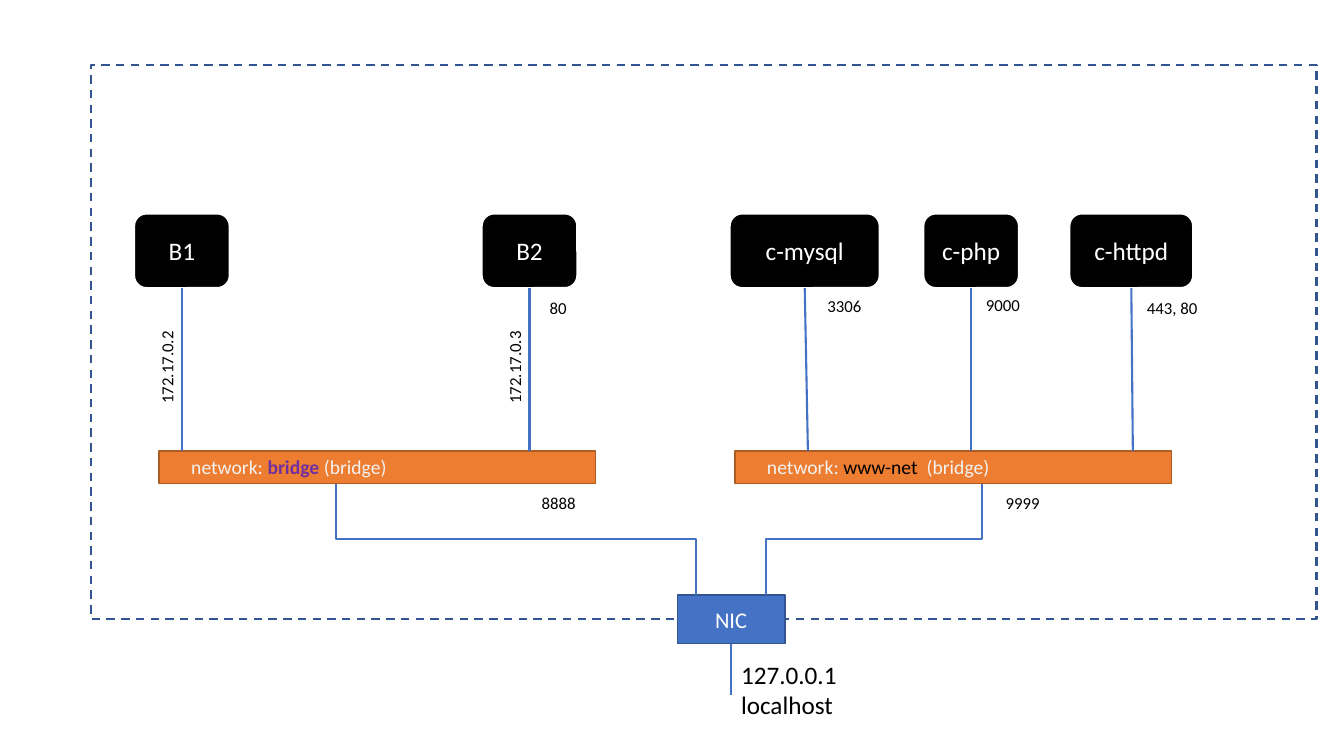
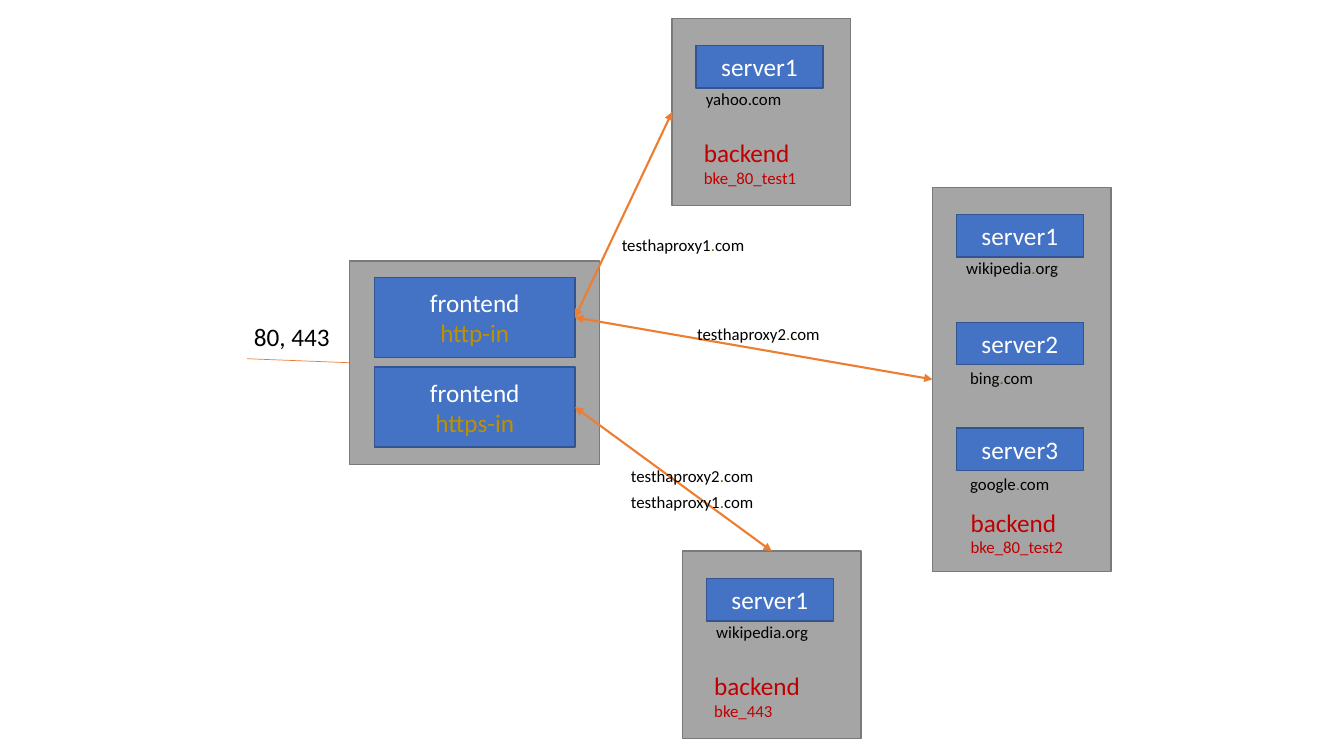
from lxml import etree
from pptx import Presentation
from pptx.dml import color
from pptx.enum import dml, shapes as kinds, text as texts
from pptx.oxml import ns
from pptx.util import Cm, Pt

FONT = "Calibri"
BLUE, NAVY, ORANGE, RUST = "4472C4", "325491", "ED7D31", "AF5C24"
GREY, DARK_GREY, BLACK, WHITE = "A5A5A5", "7A7A7A", "000000", "FFFFFF"
RED, GOLD, OLIVE, PURPLE, PALE = "C00000", "BF9000", "666600", "7030A0", "F2F2F2"
LABEL_WIDTH, LABEL_HEIGHT = 4.14, 0.76
CENTER, LEFT = texts.PP_ALIGN.CENTER, texts.PP_ALIGN.LEFT


def rgb(value):
    """Turn a hex string into a colour."""
    return color.RGBColor.from_string(value)


def apply(target, values):
    """Set every attribute named in a dict."""
    for name, value in values.items():
        setattr(target, name, value)


def write(shape, paragraphs, align, anchor):
    """Fill a shape with paragraphs of (text, size, colour, bold) runs."""
    frame = shape.text_frame
    apply(frame, {"word_wrap": True, "vertical_anchor": anchor})
    for index, runs in enumerate(paragraphs):
        paragraph = frame.paragraphs[0] if index == 0 else frame.add_paragraph()
        paragraph.alignment = align
        for content, size, ink, *bold in runs:
            run = paragraph.add_run()
            run.text = content
            apply(run.font, {"name": FONT, "size": Pt(size), "bold": bool(bold)})
            run.font.color.rgb = rgb(ink)


def add_box(shapes, box, fill, line, weight=1, paragraphs=(), rounded=False):
    """Draw a filled or hollow box with centred text."""
    preset = kinds.MSO_SHAPE.ROUNDED_RECTANGLE if rounded else kinds.MSO_SHAPE.RECTANGLE
    shape = shapes.add_shape(preset, *map(Cm, box))
    shape.shadow.inherit = False
    if fill:
        shape.fill.solid()
        shape.fill.fore_color.rgb = rgb(fill)
    else:
        shape.fill.background()
    shape.line.color.rgb = rgb(line)
    shape.line.width = Pt(weight)
    write(shape, paragraphs, CENTER, texts.MSO_ANCHOR.MIDDLE)
    return shape


def add_text(shapes, box, paragraphs, align=LEFT, rotation=0):
    """Place a text box."""
    shape = shapes.add_textbox(*map(Cm, box))
    shape.rotation = rotation
    write(shape, paragraphs, align, texts.MSO_ANCHOR.TOP)


def add_label(shapes, center, top, content, rotation=0):
    """Place a small centred label around a vertical axis."""
    box = (center - LABEL_WIDTH / 2, top, LABEL_WIDTH, LABEL_HEIGHT)
    add_text(shapes, box, [[(content, 12, BLACK)]], CENTER, rotation)


def add_line(shapes, start, end, ink=BLUE, weight=1.5, arrows=False,
             kind=kinds.MSO_CONNECTOR.STRAIGHT):
    """Draw a connector, with arrowheads at both ends if asked."""
    connector = shapes.add_connector(kind, *map(Cm, (*start, *end)))
    connector.line.color.rgb = rgb(ink)
    connector.line.width = Pt(weight)
    if arrows:
        outline = connector.line._get_or_add_ln()
        for tag in ("a:headEnd", "a:tailEnd"):
            etree.SubElement(outline, ns.qn(tag), type="triangle")
    properties = connector._element.spPr
    etree.SubElement(properties, ns.qn("a:effectLst"))
    return connector


def add_drop(shapes, start, end):
    """Draw an elbow that leaves and arrives vertically."""
    across, down = end[0] - start[0], end[1] - start[1]
    middle_x, middle_y = start[0] + across / 2, start[1] + down / 2
    half_width, half_height = down / 2, abs(across) / 2
    side = 1 if across > 0 else -1
    connector = add_line(
        shapes,
        (middle_x + side * half_width, middle_y - half_height),
        (middle_x - side * half_width, middle_y + half_height),
        kind=kinds.MSO_CONNECTOR.ELBOW)
    degrees = 270 if across > 0 else 90
    connector._element.spPr.find(ns.qn("a:xfrm")).set("rot", str(degrees * 60000))


def draw_container(shapes, left, bar_top, name, width, address, port, port_at, slant):
    """Draw a container, its wire to the network bar and its labels."""
    top, height = bar_top - 5.99, 1.88
    center = left + width / 2
    add_box(shapes, (left, top, width, height), BLACK, WHITE, 1.5,
            [[(name, 18, WHITE)]], rounded=True)
    add_line(shapes, (center, top + height), (center + slant, bar_top))
    if address:
        add_label(shapes, center - 0.38, bar_top - 2.49, address, 270)
    if port:
        add_label(shapes, center + port_at[0], top + height + port_at[1], port)


def draw_network(shapes, left, top, name, containers, port, port_x, drop_x, nic_point):
    """Draw a network bar with its containers and its path to the card."""
    width, height = 11, 0.82
    add_box(shapes, (left, top, width, height), ORANGE, RUST)
    runs = [("network: ", 14, PALE), name, ("(bridge)", 14, PALE)]
    add_text(shapes, (left + 0.56, top - 0.02, 9.5, 0.86), [runs])
    add_drop(shapes, (left + drop_x, top + height), nic_point)
    for offset, *container in containers:
        draw_container(shapes, left + offset, top, *container)
    add_label(shapes, left + port_x, top + 0.91, port)


def build_network_slide(slide):
    """Build the container network diagram."""
    shapes = slide.shapes
    host = add_box(shapes, (2.29, 1.63, 30.89, 13.97), None, NAVY, 1.5)
    host.line.dash_style = dml.MSO_LINE.DASH
    left, top, width, height = nic = (17.07, 14.99, 2.71, 1.23)
    center, bottom = left + width / 2, top + height
    add_box(shapes, nic, BLUE, NAVY, paragraphs=[[("NIC", 16, WHITE)]])
    add_line(shapes, (center, bottom), (center, bottom + 1.29))
    add_text(shapes, (center, bottom + 0.27, 7.24, 1.8),
             [[("127.0.0.1", 18, BLACK)], [("localhost", 18, BLACK)]])
    draw_network(
        shapes, 4.01, 11.37, ("bridge ", 14, PURPLE, True),
        [(-0.63, "B1", 2.41, "172.17.0.2", None, None, 0),
         (8.13, "B2", 2.41, "172.17.0.3", "80", (0.72, 0.13), 0)],
        "8888", 10.07, 4.45, (center - 0.89, top))
    draw_network(
        shapes, 18.52, 11.37, ("www-net  ", 14, BLACK),
        [(-0.13, "c-mysql", 3.78, None, "3306", (1.0, 0.08), 0.08),
         (4.75, "c-php", 2.41, None, "9000", (0.8, 0.03), 0),
         (8.43, "c-httpd", 3.12, None, "443, 80", (1.03, 0.13), 0.04)],
        "9999", 7.25, 6.22, (center + 0.88, top))


def domain(address, dot=OLIVE):
    """Split an address into runs around its coloured dot."""
    host, point, ending = address.partition(".")
    return [(host, 12, BLACK), (point, 12, dot), (ending, 12, BLACK)]


def draw_backend(slide, box, name, servers, label_x=0.55, label_rise=1.85):
    """Draw a backend panel with its servers and its name."""
    shapes = slide.shapes.add_group_shape().shapes
    left, top, width, height = box
    add_box(shapes, box, GREY, DARK_GREY)
    for number, (offset, address, shift) in enumerate(servers, 1):
        server_left, server_top = left + 0.6, top + offset
        add_box(shapes, (server_left, server_top, 3.2, 1.07), BLUE, NAVY,
                paragraphs=[[(f"server{number}", 18, WHITE)]])
        add_text(shapes, (server_left + shift, server_top + 0.97 + shift / 2, 3.2,
                          LABEL_HEIGHT), [address])
    add_text(shapes, (left + label_x, top + height - label_rise, 3.6, 1.55),
             [[("backend", 18, RED)], [(name, 12, RED)]])


def draw_frontend(slide, box, names):
    """Draw the proxy panel and return the right-hand point of each frontend."""
    shapes = slide.shapes.add_group_shape().shapes
    left, top, _, _ = box
    width, height, pitch = 5.05, 2.02, 2.26
    add_box(shapes, box, GREY, DARK_GREY)
    ports = []
    for index, name in enumerate(names):
        x, y = left + 0.63, top + 0.41 + index * pitch
        add_box(shapes, (x, y, width, height), BLUE, NAVY,
                paragraphs=[[("frontend", 18, WHITE)], [(name, 18, GOLD)]])
        ports.append((x + width, y + height / 2))
    return ports


def build_proxy_slide(slide):
    """Build the load balancer diagram."""
    shapes = slide.shapes
    proxy = (8.81, 6.58, 6.3, 5.13)
    first = (16.94, 0.46, 4.5, 4.72)
    second = (23.5, 4.72, 4.5, 9.68)
    secure = (17.2, 13.89, 4.5, 4.72)
    add_line(shapes, (6.22, 9.04), (proxy[0], 9.14), ORANGE, 0.5)
    add_text(shapes, (6.15, 7.98, 2.6, 1.02), [[("80, 443", 18, BLACK)]])
    draw_backend(slide, second, "bke_80_test2",
                 [(0.69, domain("wikipedia.org"), 0),
                  (3.4, domain("bing.com"), 0.1),
                  (6.07, domain("google.com"), 0.1)], 0.71, 1.75)
    http, https = draw_frontend(slide, proxy, ("http-in", "https-in"))
    draw_backend(slide, first, "bke_80_test1", [(0.69, domain("yahoo.com", BLACK), 0)])
    draw_backend(slide, secure, "bke_443", [(0.69, domain("wikipedia.org", BLACK), 0)])
    links = [(https, (secure[0] + secure[2] / 2, secure[1])),
             (http, (first[0], first[1] + first[3] / 2)),
             (http, (second[0], second[1] + second[3] / 2))]
    for start, end in links:
        add_line(shapes, start, end, ORANGE, arrows=True)
    labels = [(15.42, 5.79, "testhaproxy1.com"), (17.32, 8.03, "testhaproxy2.com"),
              (15.65, 11.61, "testhaproxy2.com"), (15.65, 12.27, "testhaproxy1.com")]
    for left, top, address in labels:
        add_text(shapes, (left, top, LABEL_WIDTH, LABEL_HEIGHT), [domain(address)])


def main():
    """Build and save the presentation."""
    presentation = Presentation()
    apply(presentation, {"slide_width": Cm(33.87), "slide_height": Cm(19.05)})
    for build in (build_network_slide, build_proxy_slide):
        build(presentation.slides.add_slide(presentation.slide_layouts[6]))
    presentation.save("out.pptx")


if __name__ == "__main__":
    main()
